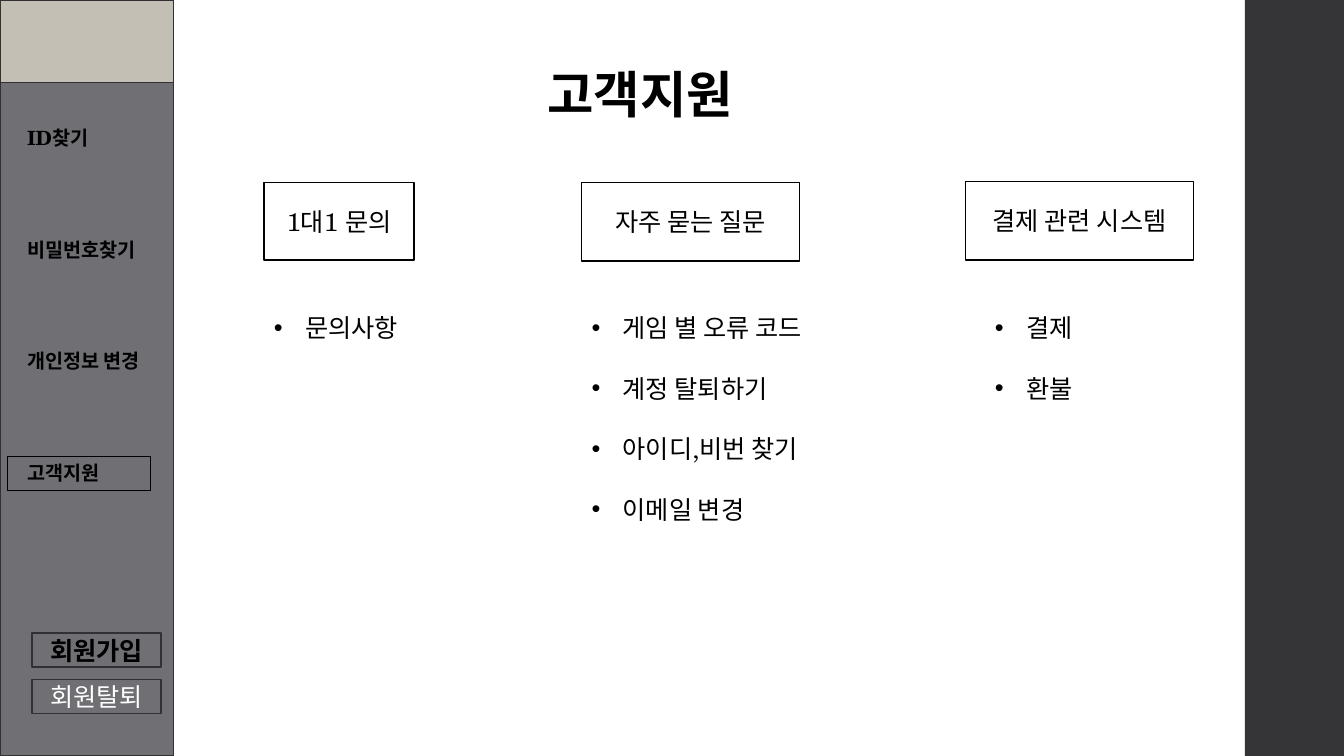
import pptx
import pptx.dml.color
import pptx.enum.shapes
import pptx.enum.text
import pptx.oxml
import pptx.oxml.ns
import pptx.util

COLORS = {"black": "000000", "white": "FFFFFF", "edge": "313133",
          "sand": "C3BFB5", "gray": "6F6F74", "dark": "353537"}
FONT = "TeX Gyre Schola"
WIDTH, HEIGHT = pptx.util.Inches(13.33), pptx.util.Inches(7.5)
COLUMN, ROW = WIDTH / 160, HEIGHT / 90
ALIGN = pptx.enum.text.PP_ALIGN
ANCHOR = pptx.enum.text.MSO_ANCHOR

MENU = ["ID찾기", "비밀번호찾기", "개인정보 변경", "고객지원"]
ACTIVE = "고객지원"
BUTTONS = [("회원가입", "black", True), ("회원탈퇴", "white", False)]
SECTIONS = [
    ("1대1 문의", (31.44, 21.72, 17.88, 9.24), (31.44, 20.64), ["문의사항"]),
    ("자주 묻는 질문", (69.24, 21.72, 25.92, 9.36), (69.24, 29.04),
     ["게임 별 오류 코드", "계정 탈퇴하기", "아이디,비번 찾기", "이메일 변경"]),
    ("결제 관련 시스템", (114.96, 21.6, 27.12, 9.36), (117.24, 17.64),
     ["결제", "환불"]),
]


def rgb(name):
    return pptx.dml.color.RGBColor.from_string(COLORS[name])


def apply(target, values):
    for name, value in values.items():
        setattr(target, name, value)


def grid(left, top, width, height):
    return [round(size) for size in
            (left * COLUMN, top * ROW, width * COLUMN, height * ROW)]


def write(shape, lines, size=18, color="black", bold=False,
          align=ALIGN.CENTER, anchor=ANCHOR.MIDDLE, inset=0.1, gap=0):
    frame = shape.text_frame
    apply(frame, {"word_wrap": True, "vertical_anchor": anchor,
                  "auto_size": pptx.enum.text.MSO_AUTO_SIZE.NONE,
                  "margin_left": pptx.util.Inches(inset),
                  "margin_right": pptx.util.Inches(0.1),
                  "margin_top": pptx.util.Inches(0.05),
                  "margin_bottom": pptx.util.Inches(0.05)})
    frame.text = "\n".join(lines)
    for para in frame.paragraphs:
        apply(para, {"alignment": align, "space_after": pptx.util.Pt(gap)})
        for span in para.runs:
            apply(span.font, {"name": FONT, "size": pptx.util.Pt(size), "bold": bold})
            span.font.color.rgb = rgb(color)


def add_box(page, place, fill=None, line=None, weight=1.1):
    box = page.shapes.add_shape(
        pptx.enum.shapes.MSO_SHAPE.RECTANGLE, *grid(*place))
    box.shadow.inherit = False
    if fill:
        box.fill.solid()
        box.fill.fore_color.rgb = rgb(fill)
    else:
        box.fill.background()
    if line:
        box.line.color.rgb = rgb(line)
        box.line.width = pptx.util.Pt(weight)
    else:
        box.line.fill.background()
    return box


def add_list(page, place, items):
    box = page.shapes.add_textbox(*grid(*place))
    write(box, items, align=ALIGN.LEFT, anchor=ANCHOR.TOP, gap=21.6)
    indent = pptx.util.Inches(0.31)
    for para in box.text_frame.paragraphs:
        settings = para._p.get_or_add_pPr()
        settings.set("marL", str(indent))
        settings.set("indent", str(-indent))
        for tag, key, value in (("a:buFont", "typeface", "Arial"),
                                ("a:buChar", "char", "•")):
            mark = pptx.oxml.parse_xml(
                f"<{tag} {pptx.oxml.ns.nsdecls('a')}/>")
            mark.set(key, value)
            settings.append(mark)


def add_menu(page):
    for index, label in enumerate(MENU):
        top = 14.4 + index * 13.3
        if label == ACTIVE:
            item = add_box(page, (0.84, top, 17.04, 4.08), line="black", weight=0.75)
            inset = 0.2
        else:
            item = page.shapes.add_textbox(*grid(2.04, top, 17.04, 4.08))
            inset = 0.1
        write(item, [label], size=14, bold=True, align=ALIGN.LEFT,
              anchor=ANCHOR.TOP, inset=inset)


def add_title(page, text):
    title = page.shapes.title
    apply(title, dict(zip(("left", "top", "width", "height"),
                          grid(49.08, 6.96, 54.24, 8.52))))
    write(title, [text], size=36, bold=True, anchor=ANCHOR.TOP)


def main():
    deck = pptx.Presentation()
    apply(deck, {"slide_width": WIDTH, "slide_height": HEIGHT})
    page = deck.slides.add_slide(deck.slide_layouts.get_by_name("Title Only"))
    add_title(page, "고객지원")
    add_box(page, (148.2, 0, 12, 90), "dark")
    add_box(page, (0, 0, 20.64, 90), "sand", "edge")
    add_box(page, (0, 9.84, 20.64, 80.16), "gray", "edge")
    add_menu(page)
    for index, (label, color, bold) in enumerate(BUTTONS):
        button = add_box(page, (3.84, 75.36 + index * 5.52, 15.36, 4.08), "gray", "edge")
        write(button, [label], color=color, bold=bold)
    for heading, place, (left, width), items in SECTIONS:
        write(add_box(page, place, "white", "black"), [heading])
        add_list(page, (left, 36.6, width, max(12.12, len(items) * 8.5)), items)
    deck.save("out.pptx")


if __name__ == "__main__":
    main()
